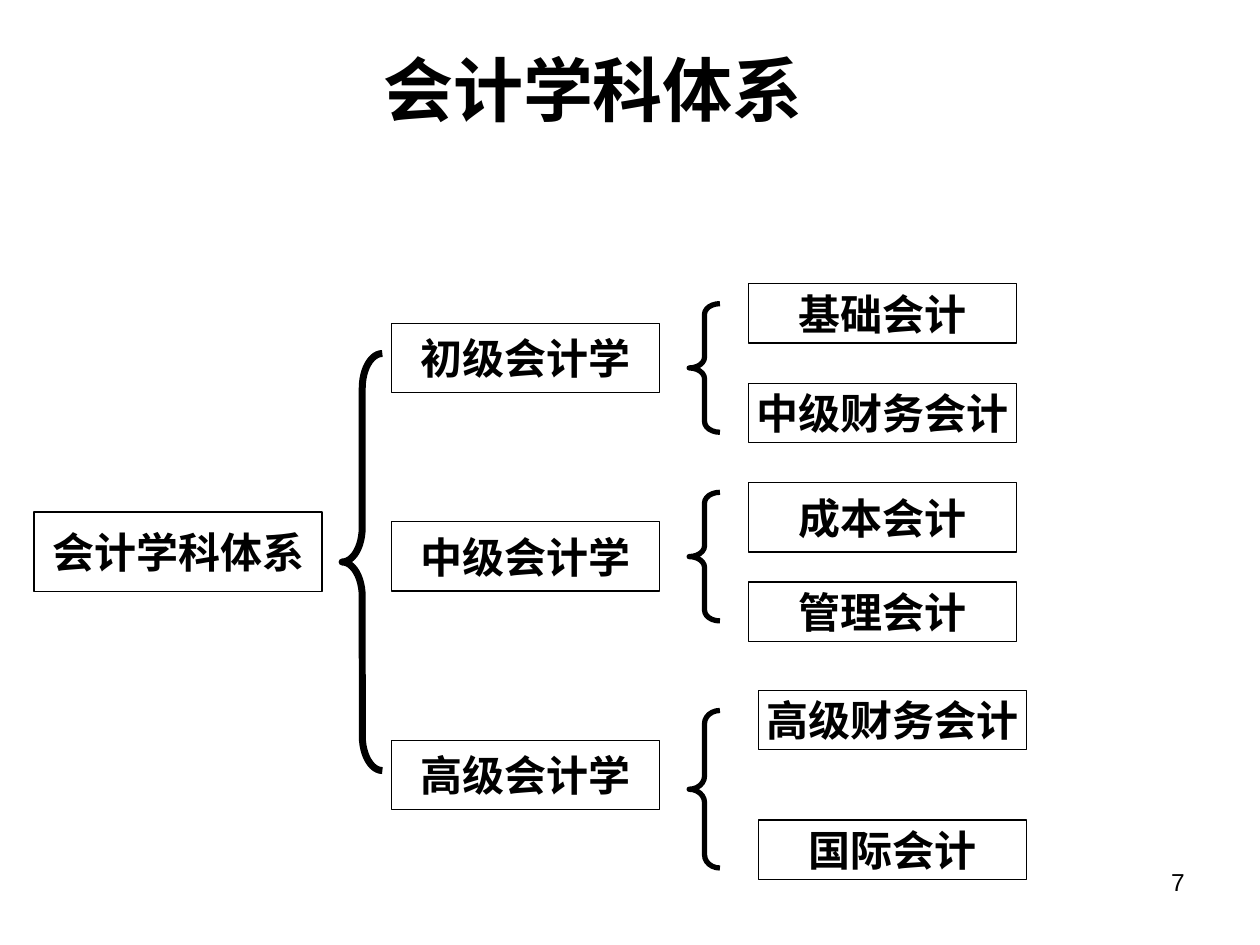
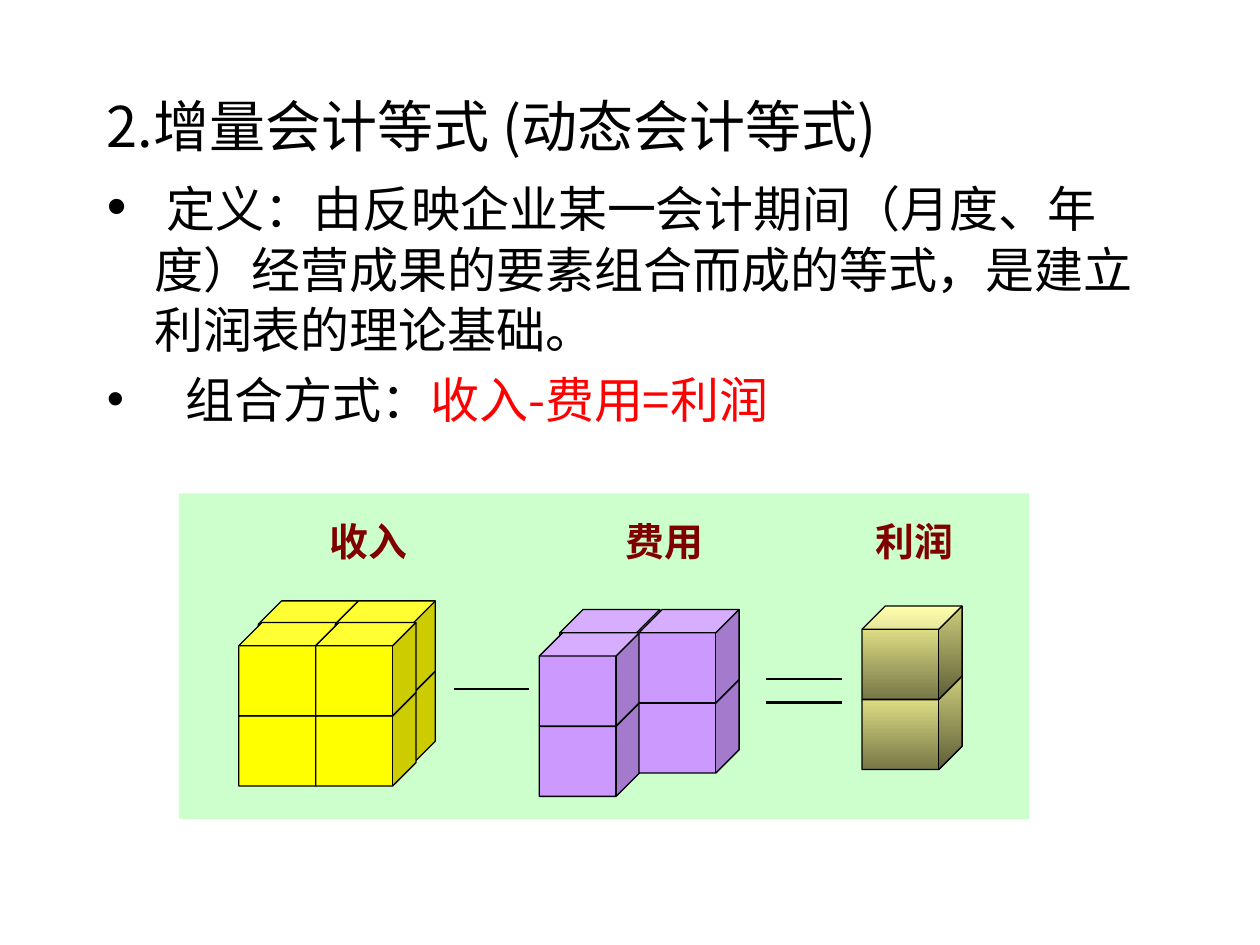
from lxml.etree import SubElement
from pptx import Presentation
from pptx.dml.color import RGBColor
from pptx.enum.shapes import MSO_CONNECTOR, MSO_SHAPE
from pptx.enum.text import MSO_ANCHOR, PP_ALIGN
from pptx.oxml.ns import qn
from pptx.util import Pt

COLORS = {
    "black": "000000", "white": "FFFFFF", "red": "FF0000",
    "panel": "CCFFCC", "label": "800000",
    "income": "FFFF00", "expense": "CC99FF",
    "profit_top": "FFFF99", "profit_bottom": "767647",
}
CJK, SERIF, SANS = "Noto Sans CJK SC", "Times New Roman", "Arial"


def rgb(name):
    return RGBColor.from_string(COLORS[name])


def write(p, text, size=24, font=SERIF, color="black", bold=False):
    r = p.add_run()
    r.text = text
    r.font.size, r.font.name, r.font.bold = Pt(size), font, bold
    r.font.color.rgb = rgb(color)
    SubElement(r.font._element, qn("a:ea")).set("typeface", CJK)


class Deck:
    def __init__(self):
        self.prs = Presentation()
        self.prs.slide_width, self.prs.slide_height = Pt(720), Pt(540)

    def new_slide(self):
        self.s = self.prs.slides.add_slide(self.prs.slide_layouts[6])

    def shape(self, kind, box, fill, line=None, adj=None):
        """Draw a preset shape; a pair of fill names makes a top-down gradient."""
        sp = self.s.shapes.add_shape(kind, *map(Pt, box))
        sp.shadow.inherit = False
        if isinstance(fill, tuple):
            sp.fill.gradient()
            sp.fill.gradient_angle = 270
            for stop, name in zip(sp.fill.gradient_stops, fill):
                stop.color.rgb = rgb(name)
        else:
            sp.fill.solid()
            sp.fill.fore_color.rgb = rgb(fill)
        if line:
            sp.line.color.rgb = rgb("black")
            sp.line.width = Pt(line)
        else:
            sp.line.fill.background()
        if adj is not None:
            sp.adjustments[0] = adj
        return sp

    def text(self, box, text=None, align=PP_ALIGN.LEFT, anchor=MSO_ANCHOR.TOP, **style):
        tf = self.s.shapes.add_textbox(*map(Pt, box)).text_frame
        tf.word_wrap, tf.vertical_anchor = True, anchor
        if text:
            tf.paragraphs[0].alignment = align
            write(tf.paragraphs[0], text, **style)
        return tf

    def node(self, box, text):
        sp = self.shape(MSO_SHAPE.RECTANGLE, box, "white", line=0.75)
        tf = sp.text_frame
        tf.word_wrap, tf.vertical_anchor = False, MSO_ANCHOR.MIDDLE
        tf.paragraphs[0].alignment = PP_ALIGN.CENTER
        write(tf.paragraphs[0], text, bold=True)

    def brace(self, box, line):
        self.shape(MSO_SHAPE.LEFT_BRACE, box, "white", line, adj=box[3] / 12 / box[2])

    def label(self, x, text):
        sp = self.shape(MSO_SHAPE.RECTANGLE, (x, 295.2, 85.7, 35.3), "panel")
        tf = sp.text_frame
        tf.vertical_anchor = MSO_ANCHOR.TOP
        p = tf.paragraphs[0]
        p.alignment, p.line_spacing = PP_ALIGN.CENTER, 0.9
        write(p, text, size=22.2, color="label", bold=True)

    def cube_stack(self, x, top, fill):
        """Stack two cubes, the lower one first."""
        for y in (top + 40.2, top):
            self.shape(MSO_SHAPE.CUBE, (x, y, 57.2, 53.3), fill, line=0.75, adj=0.25)

    def rule(self, x, y, width):
        c = self.s.shapes.add_connector(
            MSO_CONNECTOR.STRAIGHT, Pt(x), Pt(y), Pt(x + width), Pt(y))
        c.line.color.rgb = rgb("black")
        c.line.width = Pt(1.5)
        SubElement(c._element.spPr, qn("a:effectLst"))

    def item(self, p, runs, size, spacing, before=0, indent=0):
        """Fill a paragraph with (text, style) runs; an indent gives it a bullet."""
        p.line_spacing = Pt(spacing)
        if before:
            p.space_before = Pt(before)
        if indent:
            pPr = p._p.get_or_add_pPr()
            pPr.set("marL", str(Pt(indent)))
            pPr.set("indent", str(-Pt(indent)))
            SubElement(pPr, qn("a:buFont")).set("typeface", SANS)
            SubElement(pPr, qn("a:buChar")).set("char", "•")
        for text, style in runs:
            write(p, text, **{"size": size, "font": CJK, **style})


def discipline_slide(d):
    d.new_slide()
    d.text((516, 491.8, 168, 37.4), "7", PP_ALIGN.RIGHT, size=14, font=SANS)
    d.text((59.8, 27.4, 558, 46), "会计学科体系", PP_ALIGN.CENTER, MSO_ANCHOR.MIDDLE,
           size=40, font=CJK, bold=True)
    d.node((19.5, 292.5, 164.5, 45.5), "会计学科体系")
    d.brace((195.5, 202, 23, 238.3), 4)
    # level, its top, brace top and height, subject left, subjects as (name, top, height)
    levels = [
        ("初级会计学", 184.8, 173.5, 73.5, 427.7,
         [("基础会计", 162, 34), ("中级财务会计", 219, 34)]),
        ("中级会计学", 298, 281.3, 73.5, 427.7,
         [("成本会计", 275.8, 39.7), ("管理会计", 332.5, 34)]),
        ("高级会计学", 423, 406, 90, 433.5,
         [("高级财务会计", 394.5, 34), ("国际会计", 468.6, 34)]),
    ]
    for level, top, brace_top, brace_height, left, subjects in levels:
        d.node((223.7, top, 153.3, 39.7), level)
        d.brace((393.8, brace_top, 17.6, brace_height), 3)
        for subject, y, height in subjects:
            d.node((left, y, 153.3, height), subject)


def equation_slide(d):
    d.new_slide()
    tf = d.text((54, 48.2, 612, 216))
    tf.margin_right = Pt(15.7)
    d.item(tf.paragraphs[0], [("2.增量会计等式 (动态会计等式)", {})], 32, 39)
    d.item(tf.add_paragraph(), [
        (" ", {"size": 32}),
        ("定义：由反映企业某一会计期间（月度、年度）经营成果的要素组合而成的等式，"
         "是建立利润表的理论基础。", {})], 28, 34, before=12, indent=27)
    d.item(tf.add_paragraph(), [
        ("组合方式：", {}), ("收入-费用=利润", {"color": "red"})],
        28, 34, before=6, indent=45)

    d.shape(MSO_SHAPE.RECTANGLE, (102.2, 282, 486, 186), "panel")
    for x, name in ((167.8, "收入"), (337, "费用"), (479.5, "利润")):
        d.label(x, name)
    d.rule(259.2, 393.8, 43.2)
    for y in (388, 401.6):
        d.rule(437.8, y, 43.2)

    for column in range(2):
        for x, top in ((147.6, 343.4), (136.5, 355.7)):
            d.cube_stack(x + column * 44, top, "income")
    for x, top in ((319.9, 348.3), (308.2, 361.6), (365.2, 348.3)):
        d.cube_stack(x, top, "expense")
    d.cube_stack(492.6, 346.3, ("profit_top", "profit_bottom"))


def main():
    d = Deck()
    discipline_slide(d)
    equation_slide(d)
    d.prs.save("out.pptx")


if __name__ == "__main__":
    main()
